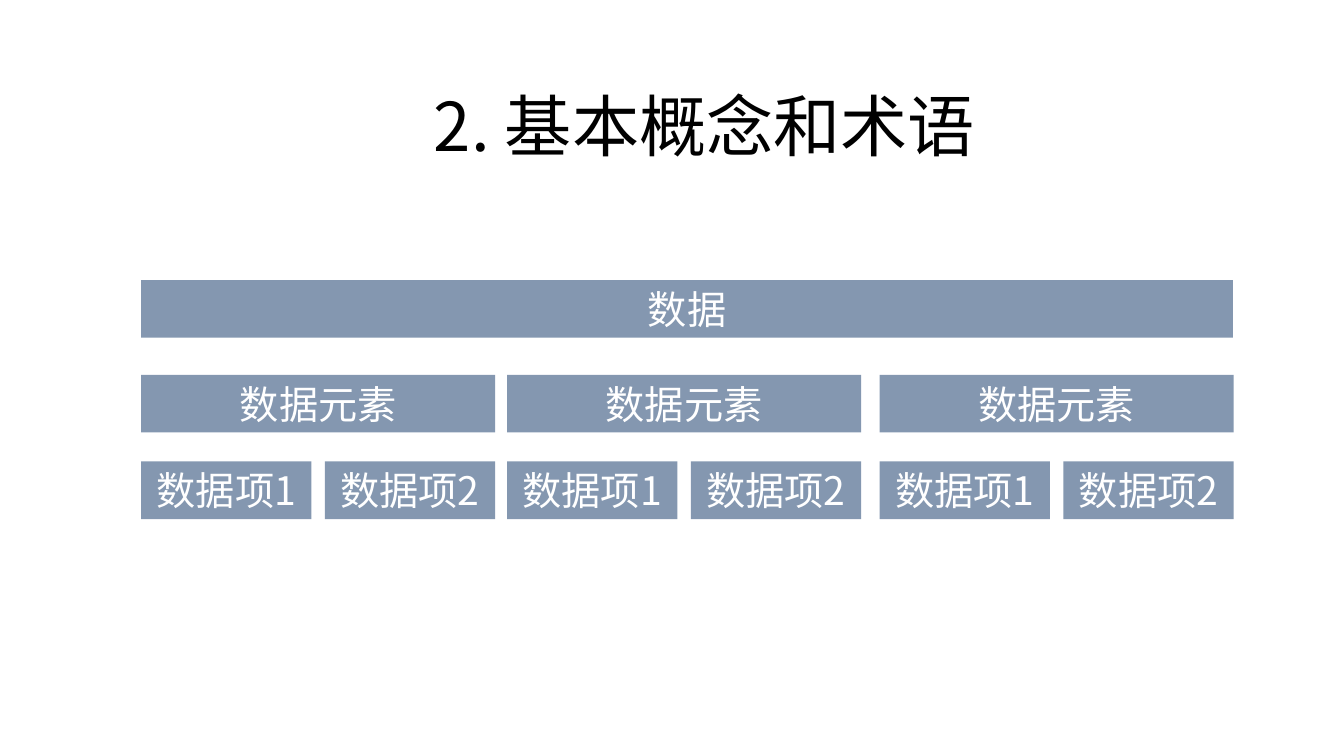
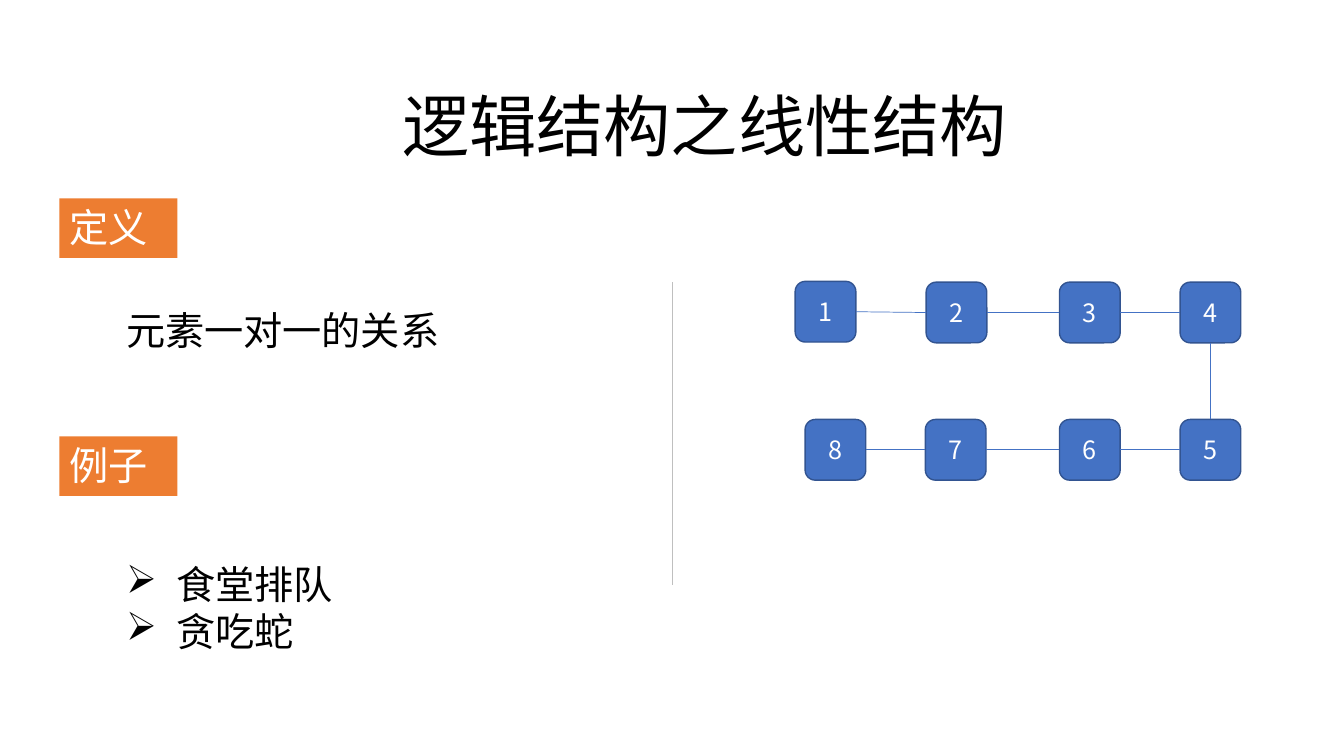
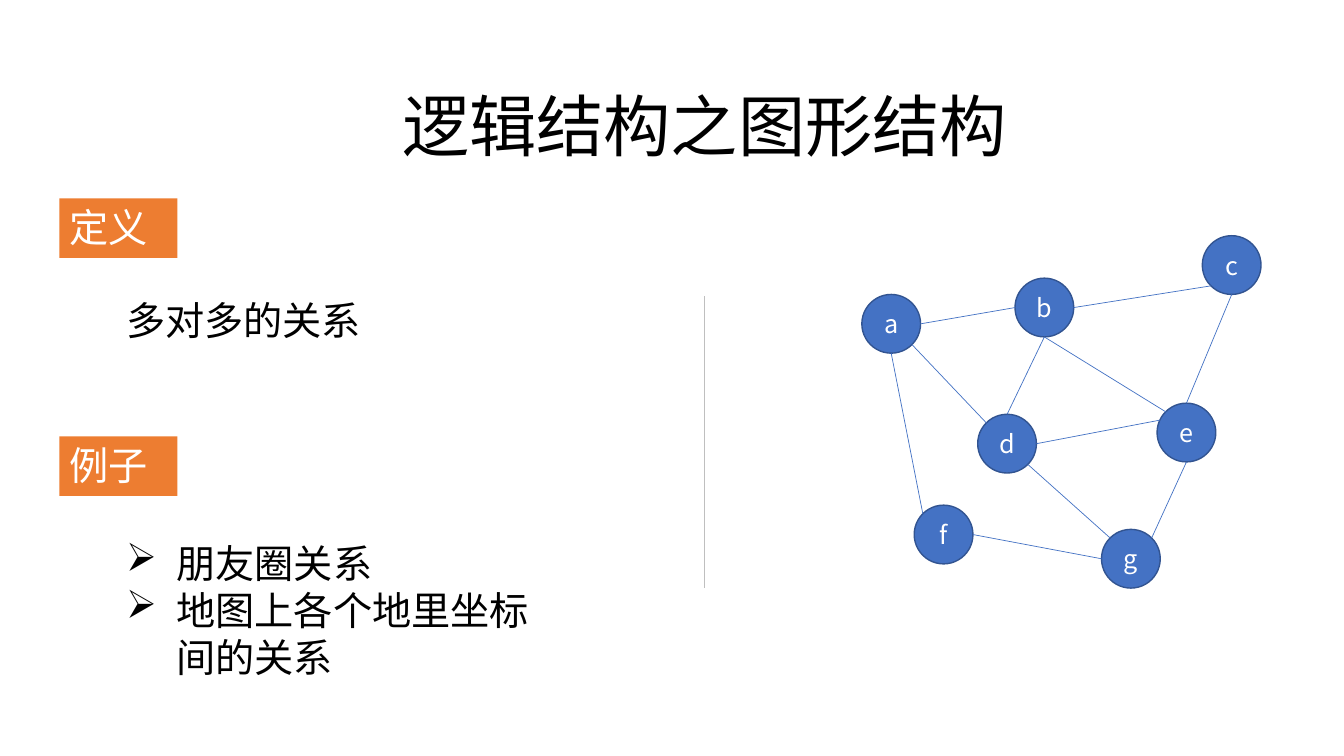
"""Build three slides on basic data concepts and logical structures."""
import math

import pptx
import pptx.dml.color
import pptx.enum.shapes
import pptx.enum.text
import pptx.oxml
import pptx.oxml.ns
import pptx.util
from lxml import etree

Cm = pptx.util.Cm
Pt = pptx.util.Pt
SHAPE = pptx.enum.shapes.MSO_SHAPE
ALIGN = pptx.enum.text.PP_ALIGN
ANCHOR = pptx.enum.text.MSO_ANCHOR

FONT = "Noto Sans CJK SC"
TITLE_SIZE, BODY_SIZE, NODE_SIZE = 48, 28, 18
LINE_FACTOR = 1.2
COLORS = {
    "text": "000000",
    "white": "FFFFFF",
    "bar": "8497B0",
    "label": "ED7D31",
    "node": "4472C4",
    "node_edge": "325491",
    "divider": "BFBFBF",
}

TITLE_BOX = (7.01, 2.01, 21.49, 2.31)
TEXT_LEFT = 2.93
LABELS = [("定义", 5.0), ("例子", 11.0)]

HIERARCHY = {
    "title": "2. 基本概念和术语",
    "root": "数据",
    "element": "数据元素",
    "items": ["数据项1", "数据项2"],
    "left": 3.56,
    "width": 27.51,
    "element_lefts": [3.56, 12.78, 22.17],
    "element_width": 8.92,
    "item_width": 4.29,
    "row_tops": [7.06, 9.45, 11.63],
    "height": 1.45,
}

STRUCTURES = [
    {
        "title": "逻辑结构之线性结构",
        "definition": ("元素一对一的关系", 7.59),
        "examples": (["食堂排队", "贪吃蛇"], 14.0),
        "divider": (16.94, 7.11, 14.73),
        "shape": SHAPE.ROUNDED_RECTANGLE,
        "size": 1.53,
        "nodes": {
            "1": (20.04, 7.09), "2": (23.34, 7.11),
            "3": (26.7, 7.11), "4": (29.74, 7.11),
            "5": (29.74, 10.57), "6": (26.7, 10.57),
            "7": (23.32, 10.57), "8": (20.29, 10.57),
        },
        "edges": [
            ("1", "e", "2", "w"), ("2", "e", "3", "w"),
            ("3", "e", "4", "w"), ("4", "s", "5", "n"),
            ("5", "w", "6", "e"), ("6", "w", "7", "e"),
            ("7", "w", "8", "e"),
        ],
    },
    {
        "title": "逻辑结构之图形结构",
        "definition": ("多对多的关系", 7.34),
        "examples": (["朋友圈关系", "地图上各个地里坐标间的关系"], 13.46),
        "divider": (17.75, 7.47, 14.81),
        "shape": SHAPE.OVAL,
        "size": 1.48,
        "nodes": {
            "a": (21.72, 7.42), "b": (25.58, 7.01),
            "c": (30.3, 5.94), "d": (24.64, 10.44),
            "e": (29.16, 10.16), "f": (23.04, 12.73),
            "g": (27.76, 13.34),
        },
        "edges": [
            ("a", "e", "b", "w"), ("b", "e", "c", "sw"),
            ("c", "s", "e", "n"), ("a", "se", "d", "nw"),
            ("b", "s", "d", "n"), ("b", "s", "e", "nw"),
            ("d", "e", "e", "wnw"), ("a", "s", "f", "nw"),
            ("f", "e", "g", "w"), ("e", "s", "g", "ne"),
            ("d", "se", "g", "nw"),
        ],
    },
]

ANGLES = {"e": 0, "se": 45, "s": 90, "sw": 135, "w": 180,
          "wnw": 205, "nw": 225, "n": 270, "ne": 315}


def rgb(name):
    return pptx.dml.color.RGBColor.from_string(COLORS[name])


def write(sp, lines, size, color, align=ALIGN.LEFT, anchor=ANCHOR.TOP):
    tf = sp.text_frame
    tf.text = "\n".join(lines)
    tf.word_wrap = True
    tf.auto_size = pptx.enum.text.MSO_AUTO_SIZE.NONE
    tf.vertical_anchor = anchor
    for p in tf.paragraphs:
        p.alignment = align
        p.line_spacing = Pt(size * LINE_FACTOR)
        for r in p.runs:
            r.font.size = Pt(size)
            r.font.name = FONT
            r.font.color.rgb = rgb(color)
            ea = etree.SubElement(r.font._element, pptx.oxml.ns.qn("a:ea"))
            ea.set("typeface", FONT)


def add_bullets(sp):
    for p in sp.text_frame.paragraphs:
        pPr = p._p.get_or_add_pPr()
        pPr.set("marL", str(Cm(1.27)))
        pPr.set("indent", str(-Cm(1.27)))
        bullet = etree.SubElement(pPr, pptx.oxml.ns.qn("a:buChar"))
        bullet.set("char", "➢")


def add_title_slide(prs, title):
    slide = prs.slides.add_slide(prs.slide_layouts[5])
    sp = slide.shapes.title
    sp.left, sp.top, sp.width, sp.height = map(Cm, TITLE_BOX)
    write(sp, [title], TITLE_SIZE, "text", ALIGN.CENTER)
    return slide


def add_block(slide, kind, box, fill, edge=None):
    sp = slide.shapes.add_shape(kind, *map(Cm, box))
    sp.shadow.inherit = False
    sp.fill.solid()
    sp.fill.fore_color.rgb = rgb(fill)
    if edge:
        sp.line.color.rgb = rgb(edge)
        sp.line.width = Pt(1)
    else:
        sp.line.fill.background()
    return sp


def add_text(slide, box, lines):
    sp = slide.shapes.add_textbox(*map(Cm, box))
    write(sp, lines, BODY_SIZE, "text")
    return sp


def add_line(slide, start, end, color, width):
    line = slide.shapes.add_connector(
        pptx.enum.shapes.MSO_CONNECTOR.STRAIGHT, *map(Cm, start + end))
    line.line.color.rgb = rgb(color)
    line.line.width = Pt(width)
    etree.SubElement(line._element.spPr, pptx.oxml.ns.qn("a:effectLst"))


def border_point(corner, size, side):
    angle = math.radians(ANGLES[side])
    half = size / 2
    return (corner[0] + half + half * math.cos(angle),
            corner[1] + half + half * math.sin(angle))


def build_hierarchy(prs, data):
    slide = add_title_slide(prs, data["title"])
    root_top, element_top, item_top = data["row_tops"]
    width, item_width = data["element_width"], data["item_width"]
    step = width - item_width
    bars = [(data["root"], data["left"], root_top, data["width"])]
    for left in data["element_lefts"]:
        bars.append((data["element"], left, element_top, width))
        for i, item in enumerate(data["items"]):
            bars.append((item, left + i * step, item_top, item_width))
    for text, left, top, bar_width in bars:
        sp = add_block(slide, SHAPE.RECTANGLE,
                       (left, top, bar_width, data["height"]), "bar")
        write(sp, [text], BODY_SIZE, "white", ALIGN.CENTER)


def build_structure(prs, data):
    slide = add_title_slide(prs, data["title"])
    for text, top in LABELS:
        sp = add_block(slide, SHAPE.RECTANGLE, (1.5, top, 2.97, 1.5), "label")
        write(sp, [text], BODY_SIZE, "white")
    text, top = data["definition"]
    add_text(slide, (TEXT_LEFT, top, 13.56, 1.45), [text])
    lines, top = data["examples"]
    add_bullets(add_text(slide, (TEXT_LEFT, top, 11.23, 3.84), lines))
    x, top, bottom = data["divider"]
    add_line(slide, (x, top), (x, bottom), "divider", 1)
    nodes, size = data["nodes"], data["size"]
    for name, corner in nodes.items():
        sp = add_block(slide, data["shape"], corner + (size, size),
                       "node", "node_edge")
        write(sp, [name], NODE_SIZE, "white", ALIGN.CENTER, ANCHOR.MIDDLE)
    for source, source_side, target, target_side in data["edges"]:
        add_line(slide, border_point(nodes[source], size, source_side),
                 border_point(nodes[target], size, target_side), "node", 0.5)


def main():
    prs = pptx.Presentation()
    prs.slide_width, prs.slide_height = Cm(33.87), Cm(19.05)
    build_hierarchy(prs, HIERARCHY)
    for data in STRUCTURES:
        build_structure(prs, data)
    prs.save("out.pptx")


if __name__ == "__main__":
    main()
